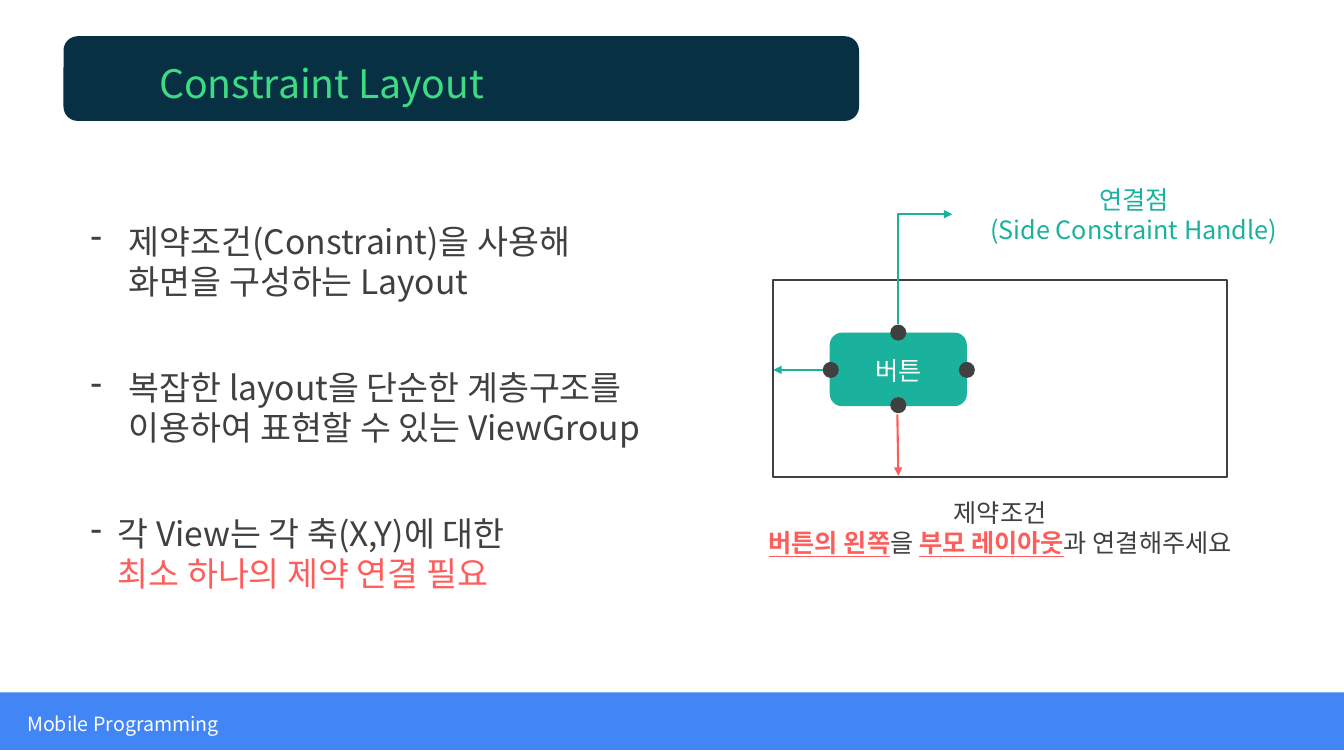
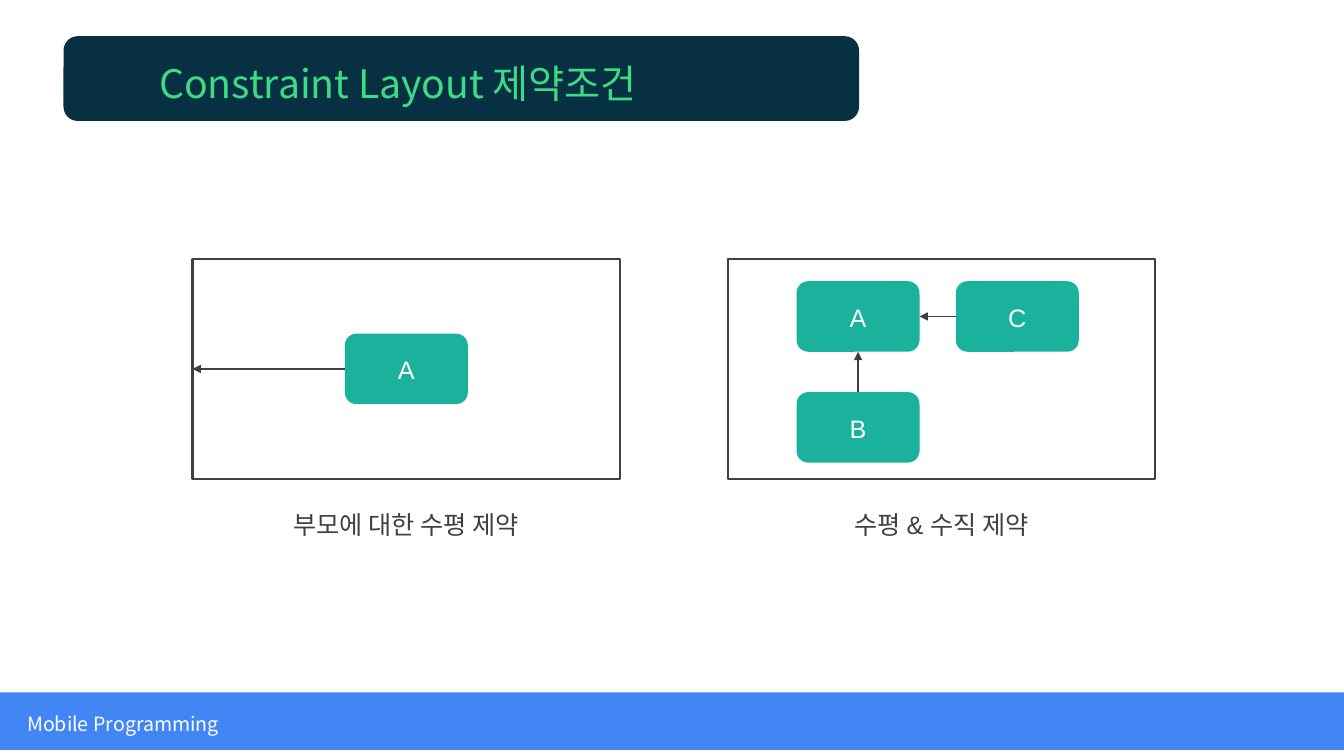
from dataclasses import dataclass

from lxml import etree
from pptx import Presentation
from pptx.dml.color import RGBColor
from pptx.enum.shapes import MSO_CONNECTOR, MSO_SHAPE
from pptx.enum.text import MSO_ANCHOR, PP_ALIGN
from pptx.oxml.ns import qn
from pptx.shapes.autoshape import Shape
from pptx.shapes.connector import Connector
from pptx.slide import Slide
from pptx.util import Emu, Pt

STRAIGHT, ELBOW = MSO_CONNECTOR.STRAIGHT, MSO_CONNECTOR.ELBOW
RECTANGLE, ROUNDED = MSO_SHAPE.RECTANGLE, MSO_SHAPE.ROUNDED_RECTANGLE
OVAL = MSO_SHAPE.OVAL
LEFT, CENTER = PP_ALIGN.LEFT, PP_ALIGN.CENTER
TOP, MIDDLE = MSO_ANCHOR.TOP, MSO_ANCHOR.MIDDLE
SIDE_TOP, SIDE_LEFT, SIDE_BOTTOM, SIDE_RIGHT = range(4)

EMU_PER_PX = 9144  # 100 px to the inch
PAGE_WIDTH, PAGE_HEIGHT = 1333, 750


@dataclass(frozen=True)
class Theme:
    ink: str = "404040"
    teal: str = "1AB29D"
    coral: str = "FF5D5B"
    navy: str = "073042"
    green: str = "3DDC84"
    blue: str = "4285F4"
    white: str = "FFFFFF"
    korean_font: str = "Noto Sans CJK KR"
    latin_font: str = "Arial"
    title_size: int = 28
    body_size: int = 24
    label_size: int = 18
    footer_size: int = 14
    line_height: float = 1.2
    frame_line: float = 1.5
    thin_line: float = 1


THEME = Theme()


@dataclass(frozen=True)
class Box:
    left: int
    top: int
    width: int
    height: int


@dataclass(frozen=True)
class Span:
    text: str
    color: str = THEME.ink
    strong: bool = False


@dataclass(frozen=True)
class Style:
    size: int = THEME.label_size
    font: str = THEME.korean_font
    align: PP_ALIGN = CENTER
    anchor: MSO_ANCHOR = TOP


@dataclass(frozen=True)
class Point:
    box: Box
    indent: int
    lines: tuple[Span, ...]


LATIN_LABEL = Style(font=THEME.latin_font)
Lines = tuple[tuple[Span, ...], ...]


def px(length: int) -> Emu:
    return Emu(length * EMU_PER_PX)


def rgb(color: str) -> RGBColor:
    return RGBColor.from_string(color)


def write(shape: Shape, lines: Lines, style: Style, indent: int = 0) -> None:
    """Fill a shape with text; an indent hangs all lines after a first dash."""
    frame = shape.text_frame
    frame.word_wrap = True
    frame.vertical_anchor = style.anchor
    frame.margin_left = frame.margin_right = px(10)
    frame.margin_top, frame.margin_bottom = px(6), px(4)
    for index, spans in enumerate(lines):
        para = frame.add_paragraph() if index else frame.paragraphs[0]
        para.alignment = style.align
        para.line_spacing = Pt(round(style.size * THEME.line_height, 1))
        if indent:
            properties = para._p.get_or_add_pPr()
            properties.set("marL", str(px(indent)))
            properties.set("indent", "0" if index else str(-px(indent)))
            if index == 0:
                etree.SubElement(properties, qn("a:buChar")).set("char", "-")
        for span in spans:
            run = para.add_run()
            run.text = span.text
            run.font.name = style.font
            run.font.size = Pt(style.size)
            run.font.color.rgb = rgb(span.color)
            run.font.bold = run.font.underline = span.strong
            east_asian = etree.SubElement(run._r.get_or_add_rPr(), qn("a:ea"))
            east_asian.set("typeface", THEME.korean_font)


def add_text(page: Slide, box: Box, lines: Lines, style: Style,
             indent: int = 0) -> None:
    shape = page.shapes.add_textbox(
        px(box.left), px(box.top), px(box.width), px(box.height))
    write(shape, lines, style, indent)


def add_block(page: Slide, kind: MSO_SHAPE, box: Box, fill: str) -> Shape:
    shape = page.shapes.add_shape(
        kind, px(box.left), px(box.top), px(box.width), px(box.height))
    shape.shadow.inherit = False
    shape.fill.solid()
    shape.fill.fore_color.rgb = rgb(fill)
    shape.line.fill.background()
    return shape


def add_frame(page: Slide, box: Box) -> Shape:
    """Draw the outline that stands for the parent layout."""
    frame = add_block(page, RECTANGLE, box, THEME.white)
    frame.fill.background()
    frame.line.color.rgb = rgb(THEME.ink)
    frame.line.width = Pt(THEME.frame_line)
    return frame


def add_button(page: Slide, box: Box, label: str, font: str) -> Shape:
    button = add_block(page, ROUNDED, box, THEME.teal)
    style = Style(font=font, anchor=MIDDLE)
    write(button, ((Span(label, THEME.white),),), style)
    return button


def add_arrow(page: Slide, start: tuple[int, int], end: tuple[int, int],
              color: str, width: float,
              kind: MSO_CONNECTOR = STRAIGHT) -> Connector:
    arrow = page.shapes.add_connector(
        kind, px(start[0]), px(start[1]), px(end[0]), px(end[1]))
    arrow.line.color.rgb = rgb(color)
    arrow.line.width = Pt(width)
    etree.SubElement(arrow.line._get_or_add_ln(), qn("a:tailEnd")).set(
        "type", "triangle")
    etree.SubElement(arrow._element.spPr, qn("a:effectLst"))
    return arrow


def join(page: Slide, source: Shape, source_side: int,
         target: Shape, target_side: int) -> None:
    arrow = add_arrow(page, (0, 0), (0, 0), THEME.ink, THEME.thin_line)
    arrow.begin_connect(source, source_side)
    arrow.end_connect(target, target_side)


def add_corner_arrow(page: Slide, start: tuple[int, int],
                     end: tuple[int, int], color: str) -> None:
    """Go up from start, then right to end: a one-bend line turned by 90°."""
    across, rise = end[0] - start[0], start[1] - end[1]
    left = (start[0] + end[0] - rise) // 2
    top = (start[1] + end[1] - across) // 2
    arrow = add_arrow(page, (left + rise, top + across), (left, top),
                      color, THEME.frame_line, ELBOW)
    properties = arrow._element.spPr
    properties.find(qn("a:xfrm")).set("rot", str(90 * 60000))
    properties.find(qn("a:prstGeom")).set("prst", "bentConnector2")


def add_page(deck: Presentation, title: str) -> Slide:
    """Add a blank page with the title band and the footer band."""
    page = deck.slides.add_slide(deck.slide_layouts[6])
    add_block(page, ROUNDED, Box(63, 36, 789, 84), THEME.navy)
    add_text(page, Box(148, 53, 585, 57), ((Span(title, THEME.green),),),
             Style(THEME.title_size, align=LEFT))
    add_block(page, RECTANGLE, Box(0, 687, PAGE_WIDTH, 57), THEME.blue)
    add_text(page, Box(17, 700, 262, 34),
             ((Span("Mobile Programming", THEME.white),),),
             Style(THEME.footer_size, align=LEFT))
    return page


def build_overview(deck: Presentation) -> None:
    page = add_page(deck, "Constraint Layout")
    points = (
        Point(Box(80, 213, 558, 91), 38,
              (Span("제약조건(Constraint)을 사용해"),
               Span("화면을 구성하는 Layout"))),
        Point(Box(80, 358, 631, 91), 38,
              (Span("복잡한 layout을 단순한 계층구조를"),
               Span("이용하여 표현할 수 있는 ViewGroup"))),
        Point(Box(80, 503, 487, 91), 27,
              (Span("각 View는 각 축(X,Y)에 대한"),
               Span("최소 하나의 제약 연결 필요", THEME.coral))),
    )
    for point in points:
        add_text(page, point.box, tuple((line,) for line in point.lines),
                 Style(THEME.body_size, align=LEFT), point.indent)

    add_frame(page, Box(767, 278, 450, 195))
    button = Box(823, 330, 136, 73)
    add_button(page, button, "버튼", THEME.korean_font)
    middle_x = button.left + button.width // 2
    middle_y = button.top + button.height // 2 + 1
    dot = 16
    handles = ((button.left + button.width, middle_y), (button.left + 1, middle_y),
               (middle_x, button.top), (middle_x, button.top + button.height - 1))
    for x, y in handles:
        add_block(page, OVAL, Box(x - dot // 2, y - dot // 2, dot, dot), THEME.ink)

    add_text(page, Box(945, 177, 359, 71),
             ((Span("연결점", THEME.teal),),
              (Span("(Side Constraint Handle)", THEME.teal),)), Style())
    add_text(page, Box(733, 487, 518, 71),
             ((Span("제약조건"),),
              (Span("버튼의 왼쪽", THEME.coral, True), Span("을 "),
               Span("부모 레이아웃", THEME.coral, True),
               Span("과 연결해주세요"))), Style())
    add_arrow(page, (816, middle_y), (767, middle_y),
              THEME.teal, THEME.frame_line)
    add_corner_arrow(page, (middle_x, 322), (945, 213), THEME.teal)
    add_arrow(page, (middle_x - 1, 411), (middle_x, 472),
              THEME.coral, THEME.frame_line)


def build_examples(deck: Presentation) -> None:
    page = add_page(deck, "Constraint Layout 제약조건")
    captions = ((191, "부모에 대한 수평 제약"), (722, "수평 & 수직 제약"))
    frames = []
    for left, caption in captions:
        frames.append(add_frame(page, Box(left, 257, 424, 218)))
        add_text(page, Box(left, 499, 424, 40), ((Span(caption),),), LATIN_LABEL)

    places = (("A", 342, 331), ("A", 790, 279), ("B", 790, 389), ("C", 948, 279))
    lone, anchor, below, beside = (
        add_button(page, Box(left, top, 122, 70), label, THEME.latin_font)
        for label, left, top in places)
    join(page, lone, SIDE_LEFT, frames[0], SIDE_LEFT)
    join(page, beside, SIDE_LEFT, anchor, SIDE_RIGHT)
    join(page, below, SIDE_TOP, anchor, SIDE_BOTTOM)


def main() -> None:
    deck = Presentation()
    deck.slide_width, deck.slide_height = px(PAGE_WIDTH), px(PAGE_HEIGHT)
    build_overview(deck)
    build_examples(deck)
    deck.save("out.pptx")


if __name__ == "__main__":
    main()
